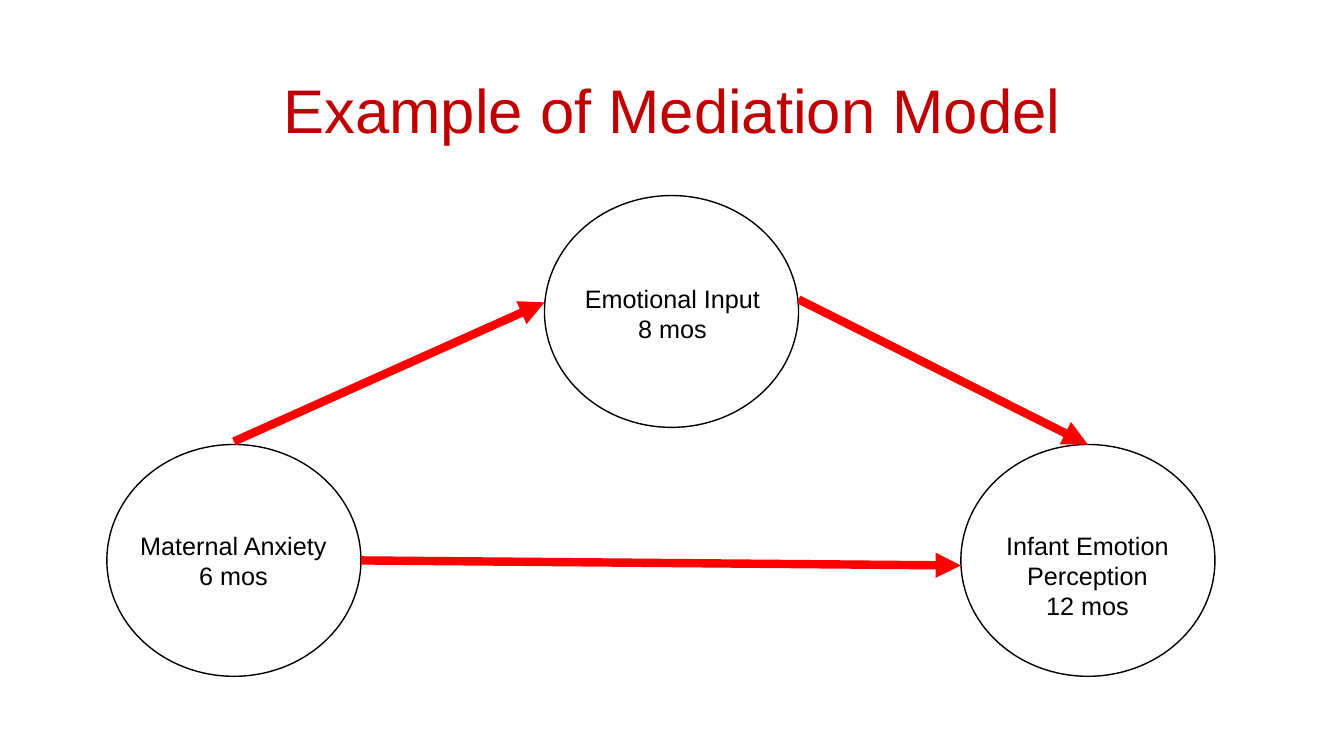
from dataclasses import dataclass
from lxml.etree import SubElement
from pptx import Presentation
from pptx.dml.color import RGBColor
from pptx.enum.shapes import MSO_CONNECTOR as Line, MSO_SHAPE as Shape
from pptx.enum.text import MSO_ANCHOR as Anchor, MSO_AUTO_SIZE as Fit, PP_ALIGN as Align
from pptx.oxml.ns import qn
from pptx.util import Inches, Pt

# Content: each node has its lines, circle corner and label box
TITLE = "Example of Mediation Model"
NODES = {
    "cause": (["Maternal Anxiety", "6 mos"], (1.06, 4.41), (1.28, 5.21, 2.07, 0.71)),
    "effect": (["Infant Emotion", "Perception", "12 mos"], (9.53, 4.41), (9.87, 5.21, 1.83, 1.01)),
    "mid": (["Emotional Input", "8 mos"], (5.4, 1.94), (5.69, 2.76, 1.96, 0.71)),
}
# Each path: node and side at its start and end, with a small shift down
PATHS = [
    (("cause", "right", 0), ("effect", "left", 0.05)),
    (("cause", "top", -0.03), ("mid", "left", -0.09)),
    (("mid", "right", -0.12), ("effect", "top", 0)),
]


@dataclass(frozen=True)
class Theme:
    font: str = "Arial"
    title: str = "C00000"
    ink: str = "000000"
    paper: str = "FFFFFF"
    arrow: str = "FF0000"
    big: int = 44
    body: int = 18


LOOK = Theme()
WIDE, HIGH = 2.52, 2.3
SIDES = {"left": (0, 0.5), "right": (1, 0.5), "top": (0.5, 0)}

deck = Presentation()
deck.slide_width, deck.slide_height = Inches(13.33), Inches(7.5)
slide = deck.slides.add_slide(deck.slide_layouts[6])


def color(code):
    return RGBColor.from_string(code)


def write(lines, box, size=LOOK.body, ink=LOOK.ink, wrap=False,
          anchor=Anchor.TOP, space=1.0, fit=Fit.SHAPE_TO_FIT_TEXT):
    frame = slide.shapes.add_textbox(*map(Inches, box)).text_frame
    frame.word_wrap, frame.auto_size = wrap, fit
    frame.vertical_anchor = anchor
    frame.text = "\n".join(lines)
    for para in frame.paragraphs:
        para.alignment, para.line_spacing = Align.CENTER, space
        font = para.runs[0].font
        font.name, font.size = LOOK.font, Pt(size)
        font.color.rgb = color(ink)


def circle(left, top):
    oval = slide.shapes.add_shape(Shape.OVAL, *map(Inches, (left, top, WIDE, HIGH)))
    oval.shadow.inherit = False
    oval.fill.solid()
    oval.fill.fore_color.rgb = color(LOOK.paper)
    oval.line.color.rgb = color(LOOK.ink)
    oval.line.width = Pt(1)


def point(name, side, shift):
    left, top = NODES[name][1]
    across, down = SIDES[side]
    return Inches(left + across * WIDE), Inches(top + down * HIGH + shift)


def arrow(start, end):
    link = slide.shapes.add_connector(Line.STRAIGHT, *point(*start), *point(*end))
    link.line.color.rgb = color(LOOK.arrow)
    link.line.width = Pt(6)
    props = link._element.spPr
    SubElement(props.find(qn("a:ln")), qn("a:tailEnd"), type="triangle")
    SubElement(props, qn("a:effectLst"))


# Title
write([TITLE], (0.92, 0.4, 11.5, 1.45), size=LOOK.big, ink=LOOK.title,
      wrap=True, anchor=Anchor.MIDDLE, space=0.9, fit=Fit.NONE)

# Circles with labels
for lines, corner, box in NODES.values():
    circle(*corner)
    write(lines, box)

# Arrows
for start, end in PATHS:
    arrow(start, end)

deck.save("out.pptx")
